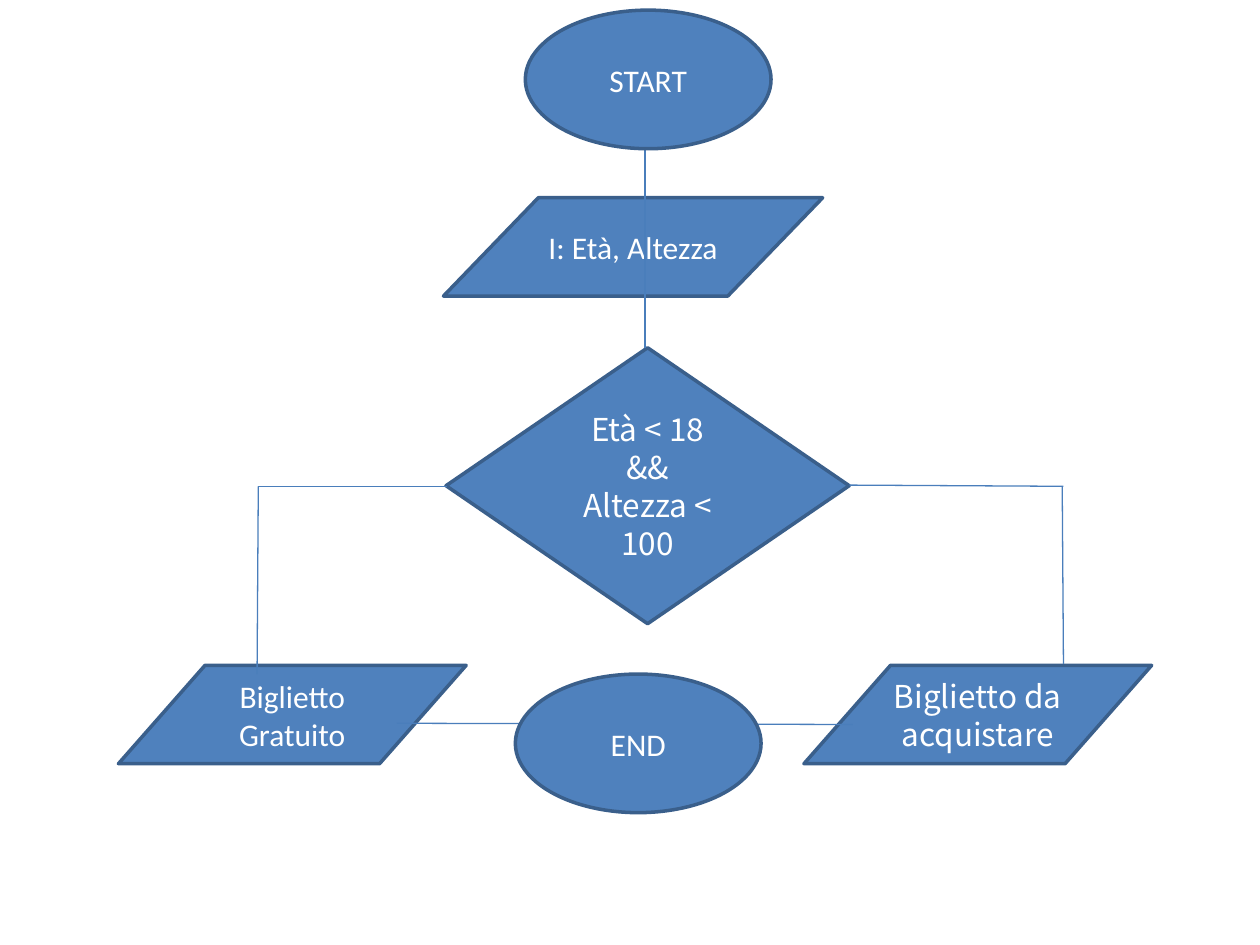
import pptx
import pptx.dml.color
import pptx.enum.shapes
import pptx.enum.text
import pptx.oxml.ns
import pptx.util
from lxml import etree

Pt = pptx.util.Pt
SHAPES = pptx.enum.shapes.MSO_SHAPE
LATIN, WIDE = "Calibri", "Noto Sans CJK JP"
OVAL_SIZE = (140.4, 79.2)
TICKET_SIZE = (198.7, 56.2)


def set_values(target, values):
    """Set each attribute named in values on target."""
    for name, value in values.items():
        setattr(target, name, value)


def colour(value):
    """Turn a hex string into a colour."""
    return pptx.dml.color.RGBColor.from_string(value)


def format_line(line, value, width):
    """Give a line its colour and width."""
    line.color.rgb = colour(value)
    line.width = Pt(width)


def add_node(slide, kind, position, size, lines, font=LATIN, slant=None):
    """Add one flowchart node with centred text."""
    shape = slide.shapes.add_shape(kind, *map(Pt, position + size))
    if slant is not None:
        shape.adjustments[0] = slant
    shape.shadow.inherit = False
    shape.fill.solid()
    shape.fill.fore_color.rgb = colour("4F81BD")
    format_line(shape.line, "3A5F8B", 2)
    frame = shape.text_frame
    set_values(frame, {"word_wrap": True,
                       "vertical_anchor": pptx.enum.text.MSO_ANCHOR.MIDDLE})
    frame.text = "\n".join(lines)
    for paragraph in frame.paragraphs:
        set_values(paragraph, {"alignment": pptx.enum.text.PP_ALIGN.CENTER,
                               "line_spacing": Pt(21.7)})
        set_values(paragraph.font, {"name": font, "size": Pt(18)})
        paragraph.font.color.rgb = colour("FFFFFF")


def add_link(slide, start, end):
    """Add one thin line between two points."""
    connector = slide.shapes.add_connector(
        pptx.enum.shapes.MSO_CONNECTOR.STRAIGHT, *map(Pt, start + end))
    format_line(connector.line, "4A7EBB", 0.75)
    properties = connector._element.spPr
    etree.SubElement(properties, pptx.oxml.ns.qn("a:effectLst"))


def main():
    """Build the ticket flowchart and save it."""
    presentation = pptx.Presentation()
    set_values(presentation, {"slide_width": Pt(720), "slide_height": Pt(540)})
    slide = presentation.slides.add_slide(presentation.slide_layouts[6])

    add_node(slide, SHAPES.PARALLELOGRAM, (253.4, 113), (216.7, 56.2),
             ["I: Età, Altezza"], slant=0.965)
    add_node(slide, SHAPES.DIAMOND, (254.9, 198.7), (230.4, 157.7),
             ["Età < 18", "&&", "Altezza < 100"], WIDE)
    tickets = [(67.7, "Biglietto Gratuito", LATIN),
               (459.4, "Biglietto da acquistare", WIDE)]
    for left, text, font in tickets:
        add_node(slide, SHAPES.PARALLELOGRAM, (left, 380.2), TICKET_SIZE,
                 [text], font, 0.88)

    links = [((487.4, 414), (226.8, 413.3)),
             ((368.6, 85), (368.6, 198.7)),
             ((255.6, 277.9), (147.6, 277.9)),
             ((147.6, 277.9), (146.9, 385.2)),
             ((607.7, 277.9), (485.3, 277.2)),
             ((607, 277.9), (607.7, 379.4))]
    for start, end in links:
        add_link(slide, start, end)

    for position, text in [((300.2, 5.8), "START"), ((294.5, 385.2), "END")]:
        add_node(slide, SHAPES.OVAL, position, OVAL_SIZE, [text])
    presentation.save("out.pptx")


if __name__ == "__main__":
    main()
